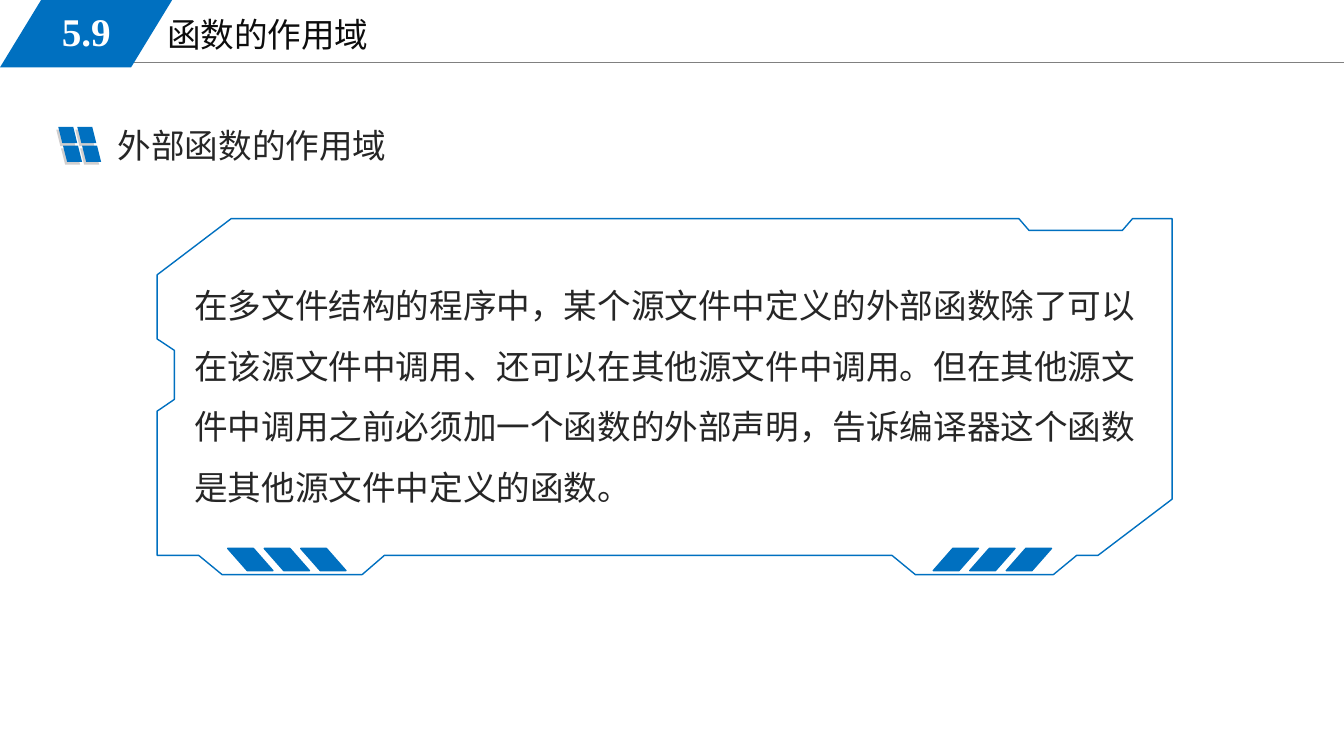
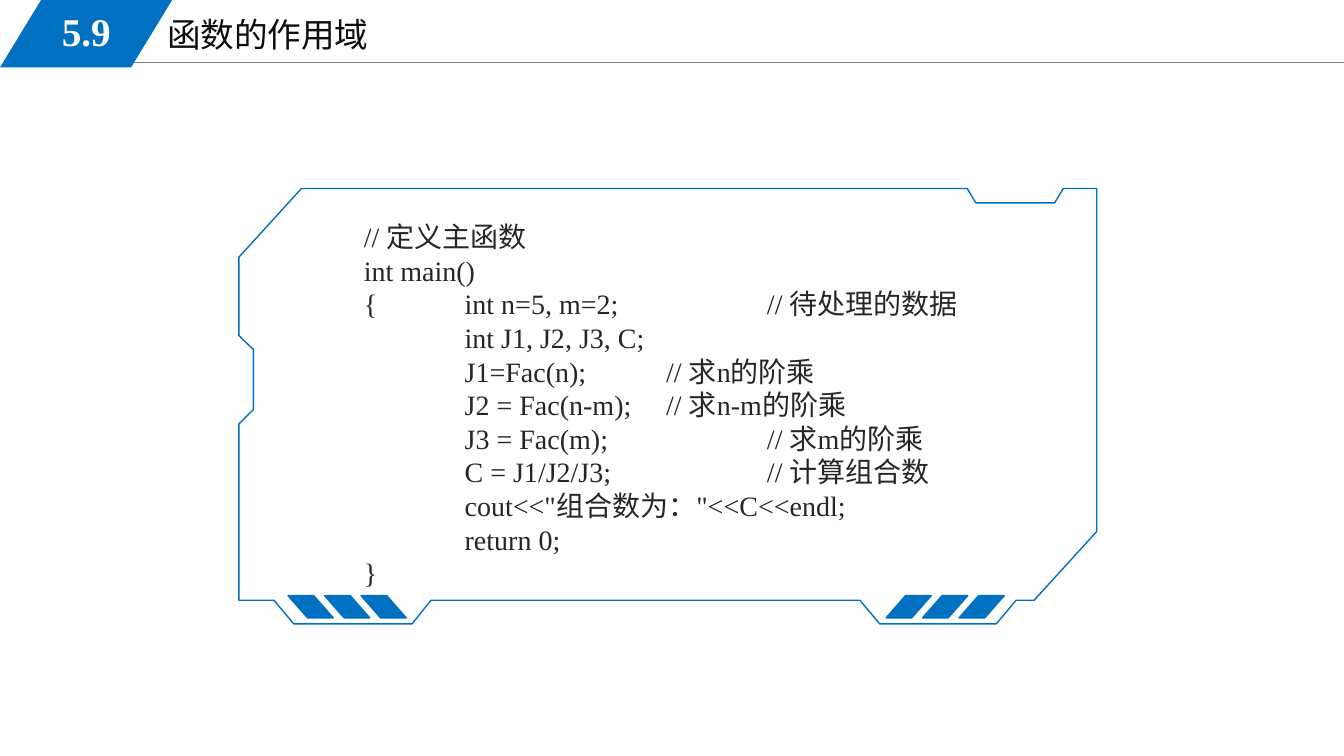
"""Build two slides on the scope of external functions."""
from lxml import etree
from pptx import Presentation
from pptx.dml.color import RGBColor
from pptx.enum.shapes import MSO_CONNECTOR, MSO_SHAPE
from pptx.enum.text import MSO_ANCHOR, PP_ALIGN
from pptx.oxml.ns import qn
from pptx.util import Cm, Pt

PARALLELOGRAM = MSO_SHAPE.PARALLELOGRAM
STRAIGHT = MSO_CONNECTOR.STRAIGHT
TOP, MIDDLE = MSO_ANCHOR.TOP, MSO_ANCHOR.MIDDLE
LEFT, CENTER = PP_ALIGN.LEFT, PP_ALIGN.CENTER

BLUE, GREY, TILE_SHADE = "0070C0", "808080", "D0CECE"
INK, TITLE_INK, WHITE = "262626", "0D0D0D", "FFFFFF"
SERIF, SANS = "Times New Roman", "Noto Sans CJK SC"

TITLE = {"size": Pt(24), "name": SERIF}
NUMBER = {"size": Pt(28), "name": SERIF, "bold": True}
BODY = {"size": Pt(24), "name": SANS}
CODE = {"size": Pt(20), "name": SERIF}

EXPLANATION = (
    "在多文件结构的程序中，某个源文件中定义的外部函数除了可以在该源文件中调用、"
    "还可以在其他源文件中调用。但在其他源文件中调用之前必须加一个函数的外部声明，"
    "告诉编译器这个函数是其他源文件中定义的函数。"
)
MAIN_FUNCTION = """// 定义主函数
int main()
{\tint n=5, m=2;\t\t// 待处理的数据
\tint J1, J2, J3, C;
\tJ1=Fac(n);\t// 求n的阶乘
\tJ2 = Fac(n-m);\t// 求n-m的阶乘
\tJ3 = Fac(m);\t\t// 求m的阶乘
\tC = J1/J2/J3;\t\t// 计算组合数
\tcout<<"组合数为："<<C<<endl;
\treturn 0;
}"""

FRAME_GRID = 1000
FRAME_OUTLINE = [
    (747, 1000), (883, 1000), (906, 946), (927, 946), (1000, 788), (1000, 0),
    (961, 0), (951, 33), (859, 33), (849, 0), (73, 0), (0, 158), (0, 338),
    (17, 370), (17, 508), (0, 541), (0, 946), (41, 946), (64, 1000),
    (202, 1000), (224, 946), (724, 946),
]
FRAMES = [
    {"box": (3.96, 5.51, 25.58, 8.97), "left": 5.74, "right": 23.52, "top": 13.82},
    {"box": (6.02, 4.75, 21.62, 10.97), "left": 7.26, "right": 22.33, "top": 15.01},
]
STRIPE_STEP = 0.92
TAB_STOPS = range(1, 6)


def add_text(slide, box, text, style, color, align=LEFT, anchor=TOP, spacing=None):
    """Add a wrapped text box with one paragraph per line of text."""
    frame = slide.shapes.add_textbox(*map(Cm, box)).text_frame
    frame.word_wrap = True
    frame.vertical_anchor = anchor
    frame.text = text
    for paragraph in frame.paragraphs:
        paragraph.alignment = align
        if spacing:
            paragraph.line_spacing = spacing
        if "\t" in paragraph.text:
            stops = etree.SubElement(paragraph._p.get_or_add_pPr(), qn("a:tabLst"))
            for stop in TAB_STOPS:
                etree.SubElement(stops, qn("a:tab"), pos=str(Cm(2.54 * stop)), algn="l")
        for run in paragraph.runs:
            for attribute, value in style.items():
                setattr(run.font, attribute, value)
            run.font.color.rgb = RGBColor.from_string(color)


def add_slant(slide, box, color, slant=0.25, mirrored=False, outlined=False):
    """Add a filled parallelogram, leaning left when mirrored."""
    shape = slide.shapes.add_shape(PARALLELOGRAM, *map(Cm, box))
    shape.shadow.inherit = False
    shape.adjustments[0] = slant
    shape.fill.solid()
    shape.fill.fore_color.rgb = RGBColor.from_string(color)
    if outlined:
        shape.line.color.rgb = RGBColor.from_string(color)
        shape.line.width = Pt(1)
    else:
        shape.line.fill.background()
    if mirrored:
        shape._element.spPr.get_or_add_xfrm().set("flipH", "1")


prs = Presentation()
prs.slide_width, prs.slide_height = Cm(33.87), Cm(19.05)
slides = []

for frame in FRAMES:
    slide = prs.slides.add_slide(prs.slide_layouts[6])
    slides.append(slide)

    rule = slide.shapes.add_connector(STRAIGHT, Cm(2.87), Cm(1.57), prs.slide_width, Cm(1.57))
    rule.line.color.rgb = RGBColor.from_string(GREY)
    rule.line.width = Pt(0.75)
    etree.SubElement(rule._element.spPr, qn("a:effectLst"))
    add_text(slide, (3.96, 0.23, 14.4, 1.3), "函数的作用域", TITLE, TITLE_INK)
    add_slant(slide, (0, 0, 4.34, 1.7), BLUE, slant=0.61)
    add_text(slide, (0.64, 0.05, 3.07, 1.47), "5.9", NUMBER, WHITE, CENTER, MIDDLE)

    left, top, width, height = map(Cm, frame["box"])
    builder = slide.shapes.build_freeform(
        *FRAME_OUTLINE[0], scale=(width / FRAME_GRID, height / FRAME_GRID))
    builder.add_line_segments(FRAME_OUTLINE[1:], close=True)
    border = builder.convert_to_shape(left, top)
    border.shadow.inherit = False
    border.fill.background()
    border.line.color.rgb = RGBColor.from_string(BLUE)
    border.line.width = Pt(1)

    for side in ("left", "right"):
        for index in range(3):
            stripe = (frame[side] + index * STRIPE_STEP, frame["top"], 1.14, 0.56)
            add_slant(slide, stripe, BLUE, 0.88, mirrored=side == "left", outlined=True)

scope_slide, code_slide = slides

for color, tile_left, tile_top in ((TILE_SHADE, 1.42, 3.27), (BLUE, 1.47, 3.2)):
    for row in range(2):
        for column in range(2):
            tile = (tile_left + column * 0.48 + row * 0.12, tile_top + row * 0.47, 0.48, 0.41)
            add_slant(scope_slide, tile, color, mirrored=True)
add_text(scope_slide, (2.72, 3.02, 8, 1.27), "外部函数的作用域", BODY, INK)
add_text(scope_slide, (4.65, 6.55, 24.56, 6.22), EXPLANATION, BODY, INK, spacing=1.5)

add_text(code_slide, (8.92, 5.41, 19.15, 9.65), MAIN_FUNCTION, CODE, INK, spacing=Pt(24))

prs.save("out.pptx")
